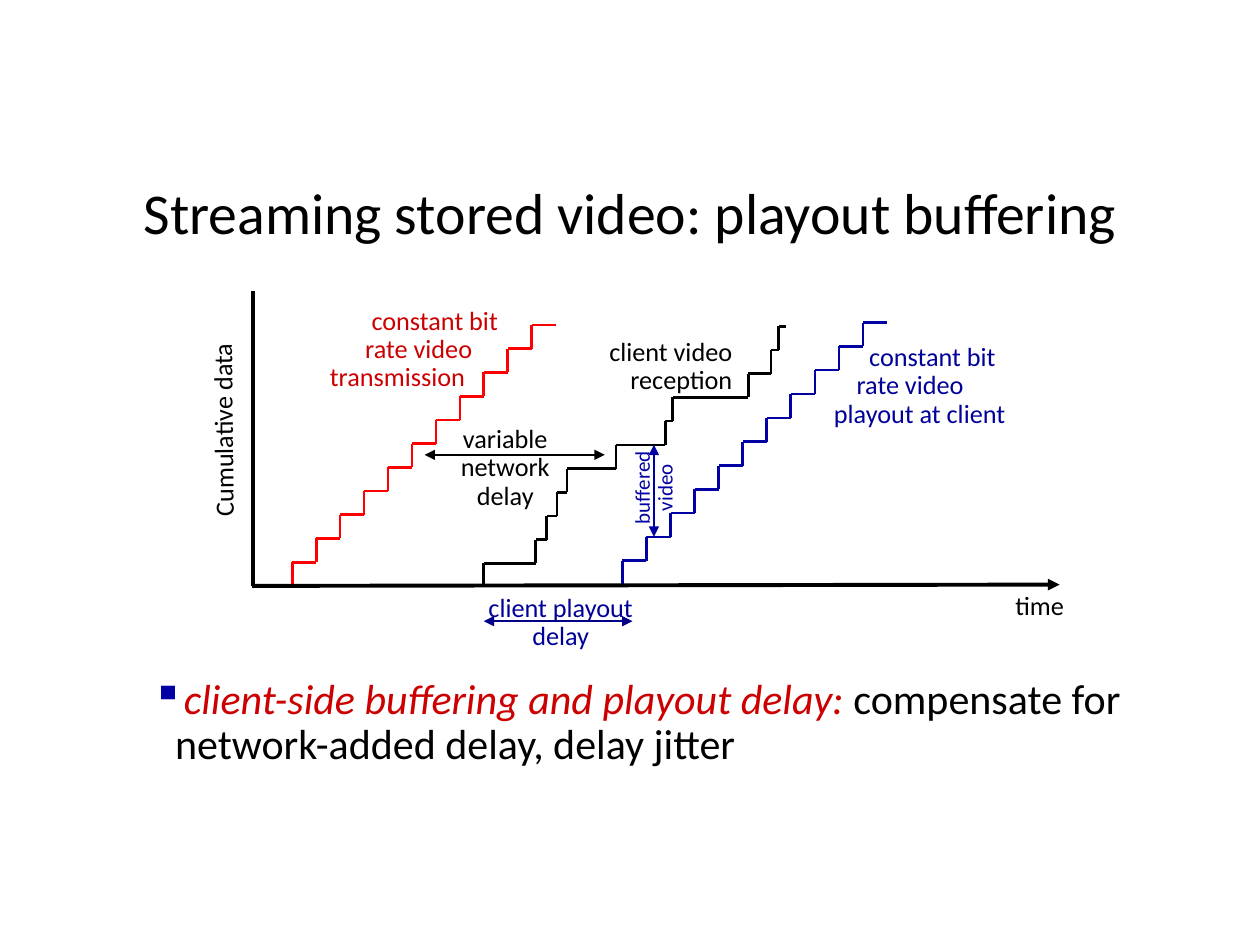
from itertools import pairwise
from lxml.etree import SubElement
from pptx import Presentation
from pptx.dml.color import RGBColor
from pptx.enum.shapes import MSO_CONNECTOR as Connector
from pptx.enum.text import MSO_ANCHOR as Anchor, PP_ALIGN as Align
from pptx.oxml.ns import qn
from pptx.util import Inches, Pt

FONT = "Calibri"
BLACK = RGBColor(0x00, 0x00, 0x00)
RED = RGBColor(0xCC, 0x00, 0x00)
BRIGHT_RED = RGBColor(0xFF, 0x00, 0x00)
NAVY = RGBColor(0x00, 0x00, 0x99)
BLUE = RGBColor(0x00, 0x00, 0xA3)
DEEP_BLUE = RGBColor(0x01, 0x00, 0x86)

# Content: lengths in inches, boxes as (left, top, width, height)
TITLE = "Streaming stored video: playout buffering"
BULLET = [
    ("client-side buffering and playout delay: ", RED, True),
    ("compensate for network-added delay, delay jitter", BLACK, False),
]
STEPS = 11
# Staircases: corner positions along time, bottom, top, colour
STAIRS = [
    ([2.32 + 0.19 * i for i in range(STEPS + 1)], 4.65, 2.58, BRIGHT_RED),
    ([3.84, 4.25, 4.34, 4.42, 4.5, 4.89, 5.28, 5.34, 5.94, 6.12, 6.18, 6.24],
     4.66, 2.59, BLACK),
    ([4.94 + 2.1 / STEPS * i for i in range(STEPS + 1)], 4.64, 2.56, BLUE),
]
# Lines: start, end, colour, width, arrow ends
LINES = [
    ((2.01, 2.31), (2.01, 4.65), BLACK, 2.25, ()),
    ((8.41, 4.64), (2, 4.65), BLACK, 2.25, ("headEnd",)),
    ((3.37, 3.61), (4.8, 3.61), BLACK, 1.5, ("headEnd", "tailEnd")),
    ((3.84, 4.93), (5.02, 4.93), DEEP_BLUE, 1.5, ("headEnd", "tailEnd")),
    ((5.19, 4.26), (5.19, 3.53), BLUE, 1.5, ("headEnd", "tailEnd")),
]
# Labels: box, text lines, format
LABELS = [
    ((2.52, 2.39, 1.59, 0.78), ["constant bit", "rate video", "transmission"],
     dict(color=RED, indents=(0.33, 0.28, 0))),
    ((0.98, 3.23, 1.61, 0.33), ["Cumulative data"], dict(rotation=-90.6)),
    ((7.96, 4.66, 0.59, 0.33), ["time"], {}),
    ((3.55, 3.33, 0.92, 0.78), ["variable", "network", "delay"],
     dict(align=Align.CENTER)),
    ((4.72, 2.64, 1.19, 0.56), ["client video", "reception"],
     dict(align=Align.RIGHT)),
    ((6.47, 2.68, 1.62, 0.78), ["constant bit", "rate video", "playout at client"],
     dict(color=NAVY, indents=(0.33, 0.23, 0.05))),
    ((3.76, 4.67, 1.38, 0.56), ["client playout", "delay"],
     dict(color=NAVY, align=Align.CENTER)),
    ((4.8, 3.64, 0.79, 0.46), ["buffered", "video"],
     dict(color=BLUE, size=12, align=Align.CENTER, rotation=270)),
]

deck = Presentation()
deck.slide_width, deck.slide_height = Inches(10), Inches(7.5)
page = deck.slides.add_slide(deck.slide_layouts[6])


def add_line(start, end, color, width=1.5, arrows=()):
    line = page.shapes.add_connector(
        Connector.STRAIGHT, *(Inches(v) for v in (*start, *end)))
    line.line.color.rgb = color
    line.line.width = Pt(width)
    outline = line.line._get_or_add_ln()
    for arrow in arrows:
        SubElement(outline, qn(f"a:{arrow}"), type="triangle")
    SubElement(line._element.spPr, qn("a:effectLst"))


def add_stairs(corners, bottom, top, color):
    rise = (bottom - top) / STEPS
    for step, (left, right) in enumerate(pairwise(corners)):
        low = bottom - step * rise
        high = low - rise
        add_line((left, high), (left, low), color)
        add_line((right, high), (left, high), color)


def add_text(area, lines, size=15, color=BLACK, align=Align.LEFT, rotation=0,
             indents=None, spacing=0.9, anchor=Anchor.TOP, bullet=None):
    """Each line is a string or a list of (text, colour, italic) spans."""
    box = page.shapes.add_textbox(*(Inches(v) for v in area))
    box.rotation = rotation
    frame = box.text_frame
    frame.word_wrap = True
    frame.vertical_anchor = anchor
    # Only the aligned side keeps its margin, so tight labels never wrap
    frame.margin_left = Inches(0.1 if align == Align.LEFT else 0)
    frame.margin_right = Inches(0.1 if align == Align.RIGHT else 0)
    for index, line in enumerate(lines):
        para = frame.add_paragraph() if index else frame.paragraphs[0]
        para.alignment = align
        para.line_spacing = spacing
        props = para._p.get_or_add_pPr()
        if indents:
            props.set("marL", str(Inches(indents[index])))
        if bullet:
            props.set("indent", str(Inches(-0.18)))
            tint = SubElement(props, qn("a:buClr"))
            SubElement(tint, qn("a:srgbClr"), val=str(BLUE))
            SubElement(props, qn("a:buChar"), char=bullet)
        spans = [(line, color, False)] if isinstance(line, str) else line
        for text, tone, italic in spans:
            span = para.add_run()
            span.text = text
            span.font.name = FONT
            span.font.size = Pt(size)
            span.font.italic = italic
            span.font.color.rgb = tone
    return box


# Title
add_text((0.69, 1.31, 8.62, 0.73), [TITLE], size=33, align=Align.CENTER,
         spacing=1.0, anchor=Anchor.MIDDLE)

# Diagram
for stairs in STAIRS:
    add_stairs(*stairs)
for line in LINES:
    add_line(*line)
for area, lines, style in LABELS:
    add_text(area, lines, **style)

# Takeaway
takeaway = add_text((1.03, 5.34, 8.62, 0.73), [BULLET], size=24,
                    indents=(0.29,), bullet="▪").text_frame
takeaway.margin_left = takeaway.margin_right = Inches(0.07)
takeaway.margin_top = takeaway.margin_bottom = Inches(0.04)

deck.save("out.pptx")
